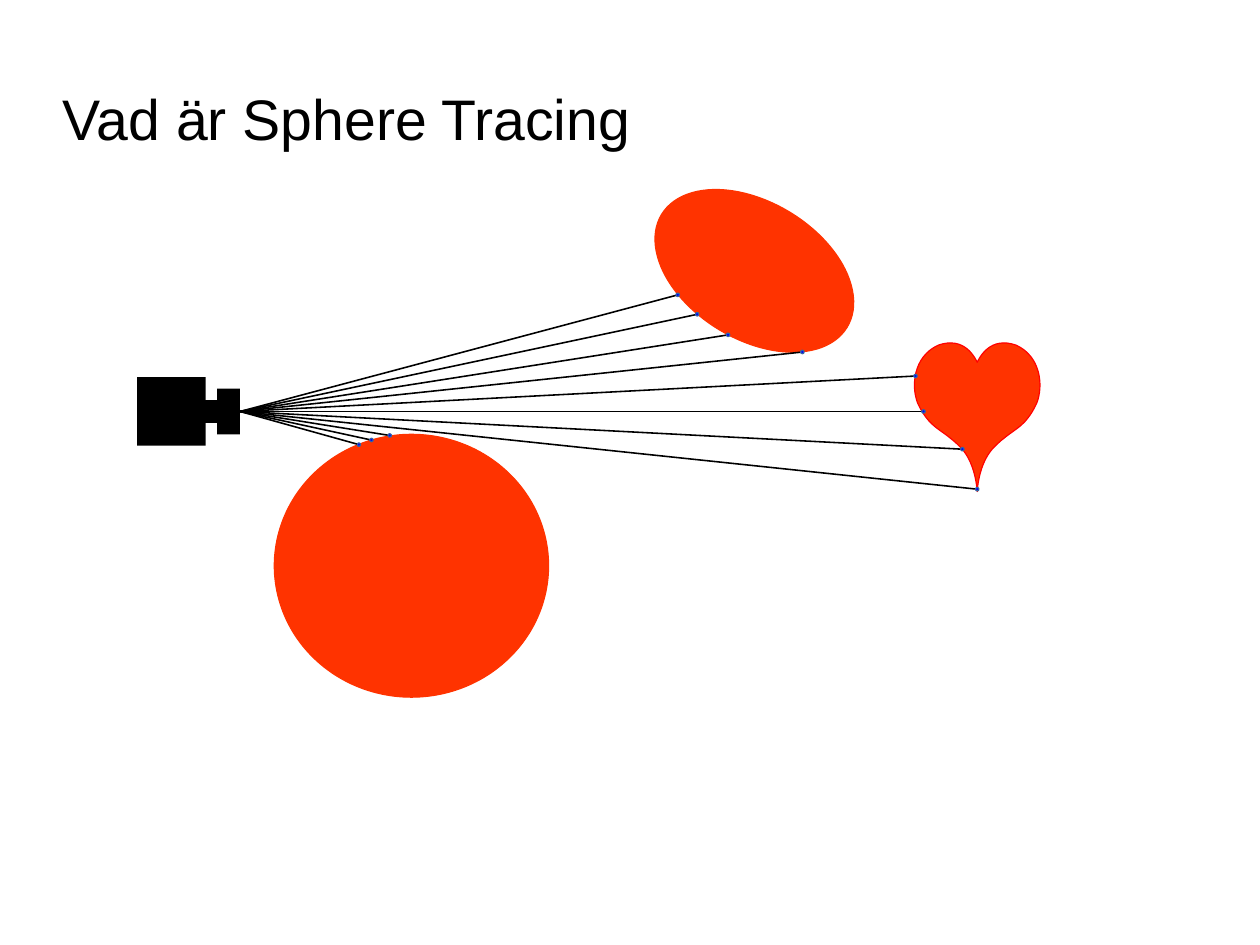
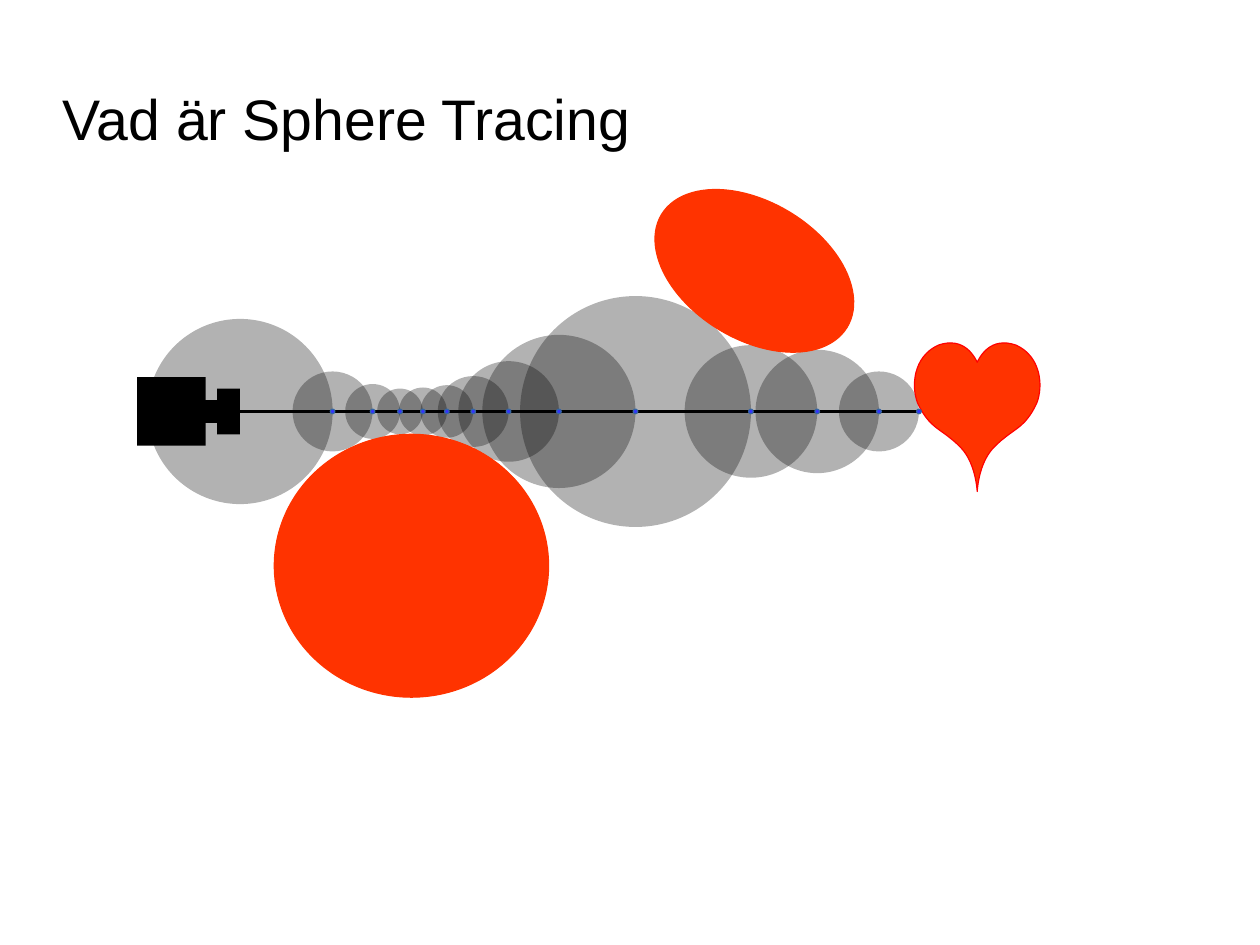
"""Build two slides that explain sphere tracing with a camera, rays and objects."""
from itertools import pairwise

from lxml.etree import SubElement
from pptx import Presentation
from pptx.dml.color import RGBColor
from pptx.enum.shapes import MSO_CONNECTOR, MSO_SHAPE
from pptx.enum.text import MSO_ANCHOR
from pptx.oxml.ns import qn
from pptx.util import Cm, Inches, Pt

TITLE = "Vad är Sphere Tracing"
FONT = "Arial"
COLOURS = {
    "black": "000000",
    "object": "FF3300",
    "heart edge": "FF0000",
    "hit": "0000FF",
    "step": "3333FF",
    "dot edge": "3465A4",
}

EYE = (2.1, 3.6)
CAMERA_PARTS = [(1.2, 3.3, 0.6, 0.6), (1.7, 3.5, 0.2, 0.2), (1.9, 3.4, 0.2, 0.4)]
ELLIPSES = [((2.4, 3.8, 2.4, 2.3), 0), ((6, 1.42, 1.2, 1.9), 301.3)]
HEART_AXIS = 8.55
HEART_START = (8.55, 4.3)
HEART_LEFT = [
    [(8.54, 4.17), (8.5, 4.01), (8.4, 3.91)],
    [(8.23, 3.74), (8.14, 3.76), (8.03, 3.53)],
    [(7.97, 3.38), (7.99, 3.12), (8.21, 3.02)],
    [(8.44, 2.94), (8.53, 3.13), (8.55, 3.17)],
]
CURVE_STEPS = 16

RAY_HITS = [
    (8.08, 3.6), (8.01, 3.29), (7.02, 3.08), (6.37, 2.93), (6.1, 2.75), (5.93, 2.58),
    (8.42, 3.93), (8.55, 4.28), (3.41, 3.81), (3.25, 3.85), (3.14, 3.89),
]
MARCH_STEPS = [
    2.91, 3.26, 3.5, 3.7, 3.91, 4.14, 4.45, 4.89, 5.56, 6.57, 7.15, 7.69, 8.04,
]
SPHERE_OPACITY = 30


def colour(name):
    return RGBColor.from_string(COLOURS[name])


def paint(shape, fill, edge=None):
    shape.shadow.inherit = False
    shape.fill.solid()
    shape.fill.fore_color.rgb = colour(fill)
    if edge:
        shape.line.color.rgb = colour(edge)
        shape.line.width = Pt(0)
    else:
        shape.line.fill.background()


def add_preset(slide, preset, box, fill, edge=None):
    shape = slide.shapes.add_shape(preset, *map(Inches, box))
    paint(shape, fill, edge)
    return shape


def add_disc(slide, centre, radius, fill, edge=None):
    x, y = centre
    box = (x - radius, y - radius, 2 * radius, 2 * radius)
    return add_preset(slide, MSO_SHAPE.OVAL, box, fill, edge)


def add_line(slide, start, end, width, lens=None):
    line = slide.shapes.add_connector(MSO_CONNECTOR.STRAIGHT, *map(Inches, start + end))
    line.line.color.rgb = colour("black")
    line.line.width = Pt(width)
    SubElement(line._element.spPr, qn("a:effectLst"))
    if lens is not None:
        line.begin_connect(lens, 3)


def bezier_points(start, controls):
    for step in range(1, CURVE_STEPS + 1):
        t = step / CURVE_STEPS
        weights = ((1 - t) ** 3, 3 * t * (1 - t) ** 2, 3 * t * t * (1 - t), t ** 3)
        yield tuple(
            sum(weight * value for weight, value in zip(weights, values))
            for values in zip(start, *controls)
        )


def add_heart(slide):
    left = [HEART_START]
    for controls in HEART_LEFT:
        left.extend(bezier_points(left[-1], controls))
    right = [(2 * HEART_AXIS - x, y) for x, y in reversed(left[1:-1])]
    outline = [(Inches(x), Inches(y)) for x, y in left + right]
    builder = slide.shapes.build_freeform(*outline[0])
    builder.add_line_segments(outline[1:], close=True)
    paint(builder.convert_to_shape(), "object", "heart edge")


def add_title(slide):
    box = slide.shapes.add_textbox(Inches(0.55), Inches(0.63), Inches(7.87), Inches(0.79))
    frame = box.text_frame
    frame.word_wrap = True
    frame.vertical_anchor = MSO_ANCHOR.MIDDLE
    frame.margin_left = frame.margin_right = frame.margin_top = frame.margin_bottom = 0
    frame.text = TITLE
    font = frame.paragraphs[0].runs[0].font
    font.name = FONT
    font.size = Pt(36)
    font.color.rgb = colour("black")


def add_scene(slide):
    """Draw the title, camera and objects, and return the camera lens."""
    add_title(slide)
    camera = [add_preset(slide, MSO_SHAPE.RECTANGLE, box, "black") for box in CAMERA_PARTS]
    for box, rotation in ELLIPSES:
        add_preset(slide, MSO_SHAPE.OVAL, box, "object", "object").rotation = rotation
    add_heart(slide)
    return camera[-1]


def build_rays(slide):
    lens = add_scene(slide)
    for hit in RAY_HITS:
        add_line(slide, EYE, hit, 1, lens)
    for hit in RAY_HITS:
        add_disc(slide, hit, 0.015, "hit", "dot edge")


def build_march(slide):
    points = [EYE] + [(x, EYE[1]) for x in MARCH_STEPS]
    for start, end in pairwise(points):
        sphere = add_disc(slide, start, end[0] - start[0], "black")
        fill = sphere._element.spPr.find(".//" + qn("a:srgbClr"))
        SubElement(fill, qn("a:alpha"), val=str(SPHERE_OPACITY * 1000))
    lens = add_scene(slide)
    for start, end in pairwise(points):
        add_line(slide, start, end, 1.5, lens if start == EYE else None)
    for point in points[1:]:
        add_disc(slide, point, 0.02, "step", "dot edge")


def main():
    presentation = Presentation()
    presentation.slide_width = Cm(28)
    presentation.slide_height = Cm(21)
    for build in (build_rays, build_march):
        build(presentation.slides.add_slide(presentation.slide_layouts[6]))
    presentation.save("out.pptx")


if __name__ == "__main__":
    main()
